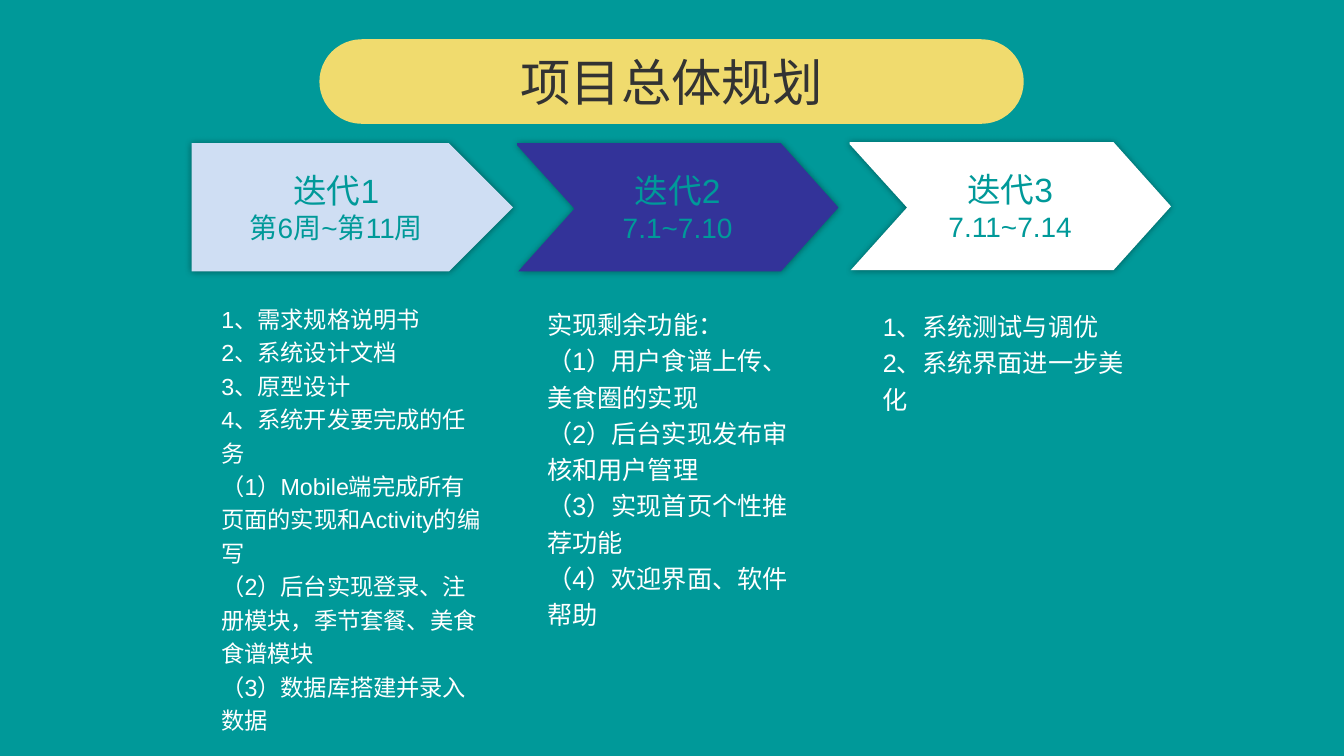
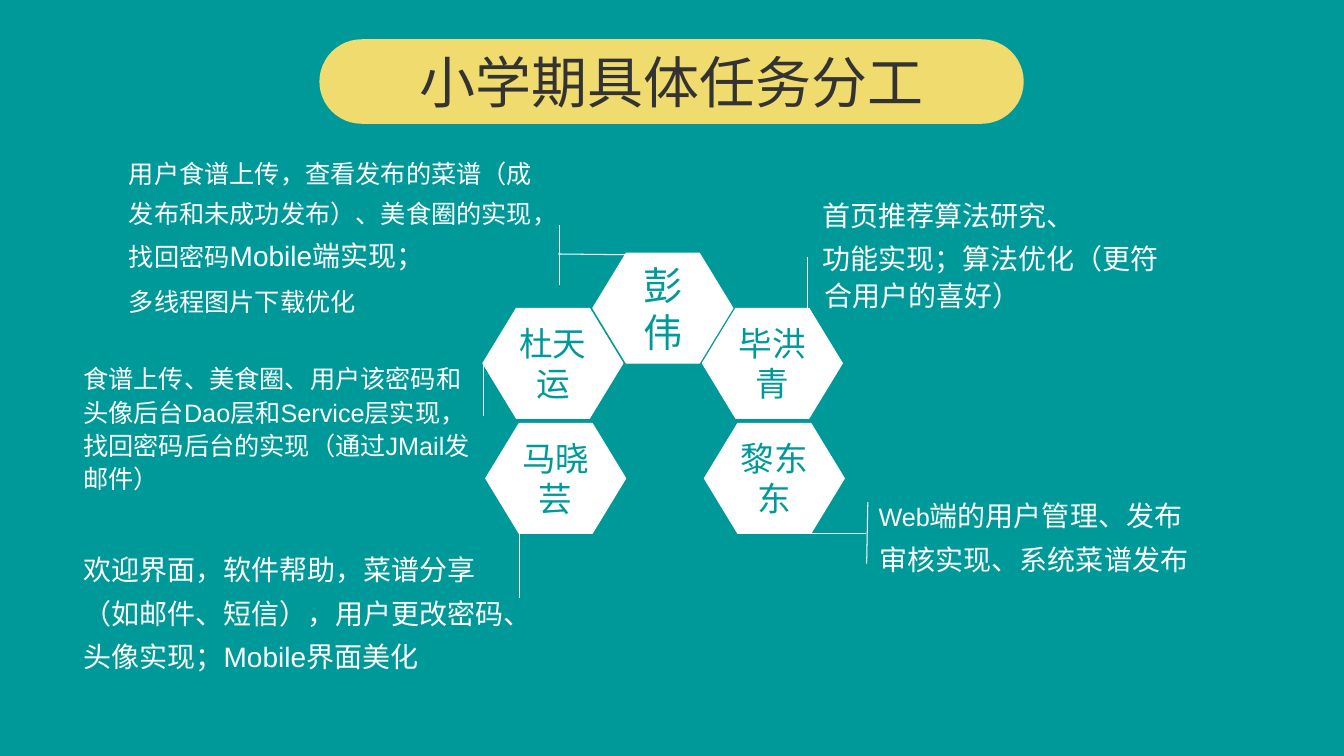
from lxml import etree
from pptx import Presentation
from pptx import util as u
from pptx.dml.color import RGBColor
from pptx.enum import shapes, text
from pptx.oxml import ns

COLORS = {
    "teal": "009999",
    "sky": "CFDEF3",
    "indigo": "333399",
    "white": "FFFFFF",
    "yellow": "F0DB6E",
    "ink": "333333",
    "black": "000000",
}
FONT = "Arial"
TITLE_BOX = (8.05, 0.99, 17.75, 2.13)
ARROW_SIZE = (8.1, 3.23)
CHEVRON = [(0, 0), (6.65, 0), (8.1, 1.62), (6.65, 3.23),
           (0.03, 3.23), (1.45, 1.65), (0, 0.05)]
HEXAGON_SIZE = (3.53, 2.77)

# heading, dates, arrow colour, arrow corner, task corner, task size, tasks
ITERATIONS = [
    ("迭代1", "第6周~第11周", "sky", (4.83, 3.61), (5.33, 7.42), 16.6, [
        "1、需求规格说明书",
        "2、系统设计文档",
        "3、原型设计",
        "4、系统开发要完成的任务",
        "（1）Mobile端完成所有页面的实现和Activity的编写",
        "（2）后台实现登录、注册模块，季节套餐、美食食谱模块",
        "（3）数据库搭建并录入数据",
    ]),
    ("迭代2", "7.1~7.10", "indigo", (13.03, 3.61), (13.54, 7.52), 18, [
        "实现剩余功能：",
        "（1）用户食谱上传、美食圈的实现",
        "（2）后台实现发布审核和用户管理",
        "（3）实现首页个性推荐功能",
        "（4）欢迎界面、软件帮助",
    ]),
    ("迭代3", "7.11~7.14", "white", (21.41, 3.58), (22, 7.57), 18, [
        "1、系统测试与调优",
        "2、系统界面进一步美化",
    ]),
]

# name, size, corner
MEMBERS = [
    ("彭伟", 28, (14.94, 6.38)),
    ("毕洪青", 24, (17.7, 7.77)),
    ("黎东东", 24, (17.75, 10.67)),
    ("杜天运", 24, (12.17, 7.77)),
    ("马晓芸", 24, (12.24, 10.67)),
]

# start and end of each leader line
LEADERS = [
    (14.1, 7.19, 14.1, 5.66),
    (14.07, 6.4, 16.79, 6.43),
    (20.35, 7.85, 20.35, 6.48),
    (18.8, 13.44, 21.82, 13.44),
    (21.84, 14.2, 21.87, 12.65),
    (12.19, 10.49, 12.19, 9.12),
    (13.08, 15.06, 13.08, 13.08),
]

# box, line spacing, hanging indent, vertically centred, paragraphs of runs
DUTIES = [
    ((3, 4.32, 11.1, 3.1), 1.3, 0, True, [
        [("用户食谱上传，查看发布的菜谱（成发布和未成功发布）、"
          "美食圈的实现，找回密码", 18), ("Mobile端实现；", 20)],
        [("多线程图片下载优化", 18)],
    ]),
    ((1.85, 8.86, 10.36, 3.81), 1.1, 0, True, [
        [("食谱上传、美食圈、用户该密码和头像后台Dao层和Service层实现，"
          "找回密码后台的实现（通过JMail发邮件）", 18)],
    ]),
    ((1.85, 13.54, 11.51, 4.17), 1.3, 0, False, [
        [("欢迎界面，软件帮助，菜谱分享（如邮件、短信），用户更改密码、"
          "头像实现；Mobile界面美化", 20)],
    ]),
    ((20.47, 4.7, 9.58, 3.38), 1.1, 0.05, True, [
        [("首页推荐算法研究、", 20)],
        [("功能实现；算法优化（更符合用户的喜好）", 20)],
    ]),
    ((21.89, 11.4, 8.48, 4.01), 1.3, 0.03, True, [
        [("Web", 18),
         ("端的用户管理、发布审核实现、系统菜谱发布", 20)],
    ]),
]


def rgb(name):
    """Return the named colour."""
    return RGBColor.from_string(COLORS[name])


def cms(*values):
    """Turn centimetre numbers into lengths."""
    return [u.Cm(value) for value in values]


def write(frame, paragraphs, color, centred=False, middle=False,
          spacing=None, before=0, hanging=0):
    """Fill a text frame with paragraphs, each a list of (words, size) runs."""
    frame.word_wrap = True
    frame.vertical_anchor = (text.MSO_ANCHOR.MIDDLE if middle
                             else text.MSO_ANCHOR.TOP)
    for index, runs in enumerate(paragraphs):
        paragraph = frame.paragraphs[0] if index == 0 else frame.add_paragraph()
        paragraph.alignment = (text.PP_ALIGN.CENTER if centred
                               else text.PP_ALIGN.LEFT)
        if spacing:
            paragraph.line_spacing = spacing
        if before:
            paragraph.space_before = u.Pt(round(before * runs[0][1], 1))
        if hanging:
            properties = paragraph._p.get_or_add_pPr()
            properties.set("marL", str(u.Cm(hanging)))
            properties.set("indent", str(-u.Cm(hanging)))
        for words, size in runs:
            run = paragraph.add_run()
            run.text = words
            run.font.size = u.Pt(size)
            run.font.name = FONT
            run.font.color.rgb = rgb(color)


def paint(shape, fill, outline=None):
    """Give a shape a flat fill and, if named, a thin outline."""
    shape.shadow.inherit = False
    shape.fill.solid()
    shape.fill.fore_color.rgb = rgb(fill)
    if outline:
        shape.line.color.rgb = rgb(outline)
        shape.line.width = u.Pt(0.75)
    else:
        shape.line.fill.background()


def add_glow_shadow(shape):
    """Add a soft, centred dark shadow."""
    effects = shape._element.spPr.find(ns.qn("a:effectLst"))
    shadow = etree.SubElement(effects, ns.qn("a:outerShdw"),
                              blurRad=str(u.Pt(5)), dist="0", dir="0",
                              algn="ctr", rotWithShape="0")
    tone = etree.SubElement(shadow, ns.qn("a:srgbClr"), val=COLORS["black"])
    etree.SubElement(tone, ns.qn("a:alpha"), val="40000")


def add_text(slide, box, paragraphs, color="white", **style):
    """Add a wrapping text box."""
    frame = slide.shapes.add_textbox(*cms(*box)).text_frame
    write(frame, paragraphs, color, **style)


def add_arrow(slide, corner, fill, heading, dates, first):
    """Add one step of the arrow band; the first has a flat left edge."""
    if first:
        arrow = slide.shapes.add_shape(shapes.MSO_SHAPE.PENTAGON,
                                       *cms(*corner, *ARROW_SIZE))
    else:
        points = [cms(corner[0] + x, corner[1] + y) for x, y in CHEVRON]
        builder = slide.shapes.build_freeform(*points[0])
        builder.add_line_segments(points[1:], close=True)
        arrow = builder.convert_to_shape()
    paint(arrow, fill)
    add_glow_shadow(arrow)
    write(arrow.text_frame, [[(heading, 24)], [(dates, 20)]], "teal",
          centred=True, middle=True)


def add_member(slide, name, size, corner):
    """Add a hexagon with a team member's name."""
    hexagon = slide.shapes.add_shape(shapes.MSO_SHAPE.HEXAGON,
                                     *cms(*corner, *HEXAGON_SIZE))
    hexagon.adjustments[0] = 0.304
    hexagon.adjustments[1] = 1.155
    paint(hexagon, "white", outline="white")
    write(hexagon.text_frame, [[(name, size)]], "teal",
          centred=True, middle=True)


def add_leader(slide, ends):
    """Add a thin white line."""
    leader = slide.shapes.add_connector(shapes.MSO_CONNECTOR.STRAIGHT,
                                        *cms(*ends))
    leader.line.color.rgb = rgb("white")
    leader.line.width = u.Pt(0.75)
    etree.SubElement(leader._element.spPr, ns.qn("a:effectLst"))


def add_slide(deck, title, title_size):
    """Add a teal slide with the yellow title pill."""
    slide = deck.slides.add_slide(deck.slide_layouts[6])
    slide.background.fill.solid()
    slide.background.fill.fore_color.rgb = rgb("teal")
    pill = slide.shapes.add_shape(shapes.MSO_SHAPE.ROUNDED_RECTANGLE,
                                  *cms(*TITLE_BOX))
    pill.adjustments[0] = 0.5
    paint(pill, "yellow")
    add_text(slide, TITLE_BOX, [[(title, title_size)]], "ink",
             centred=True, middle=True)
    return slide


def build_plan(deck):
    """Build the overall plan with its three iterations."""
    slide = add_slide(deck, "项目总体规划", 36)
    for index, iteration in enumerate(ITERATIONS):
        heading, dates, fill, corner, task_corner, size, tasks = iteration
        add_arrow(slide, corner, fill, heading, dates, first=index == 0)
        add_text(slide, (*task_corner, 7.06, 10.67),
                 [[(task, size)] for task in tasks], spacing=1.2)


def build_duties(deck):
    """Build the division of work among the members."""
    slide = add_slide(deck, "小学期具体任务分工", 40)
    for ends in LEADERS:
        add_leader(slide, ends)
    for name, size, corner in MEMBERS:
        add_member(slide, name, size, corner)
    for box, spacing, hanging, middle, paragraphs in DUTIES:
        add_text(slide, box, paragraphs, middle=middle, spacing=spacing,
                 before=0.2, hanging=hanging)


def main():
    """Build and save the deck."""
    deck = Presentation()
    deck.slide_width, deck.slide_height = cms(33.87, 19.05)
    build_plan(deck)
    build_duties(deck)
    deck.save("out.pptx")


main()
